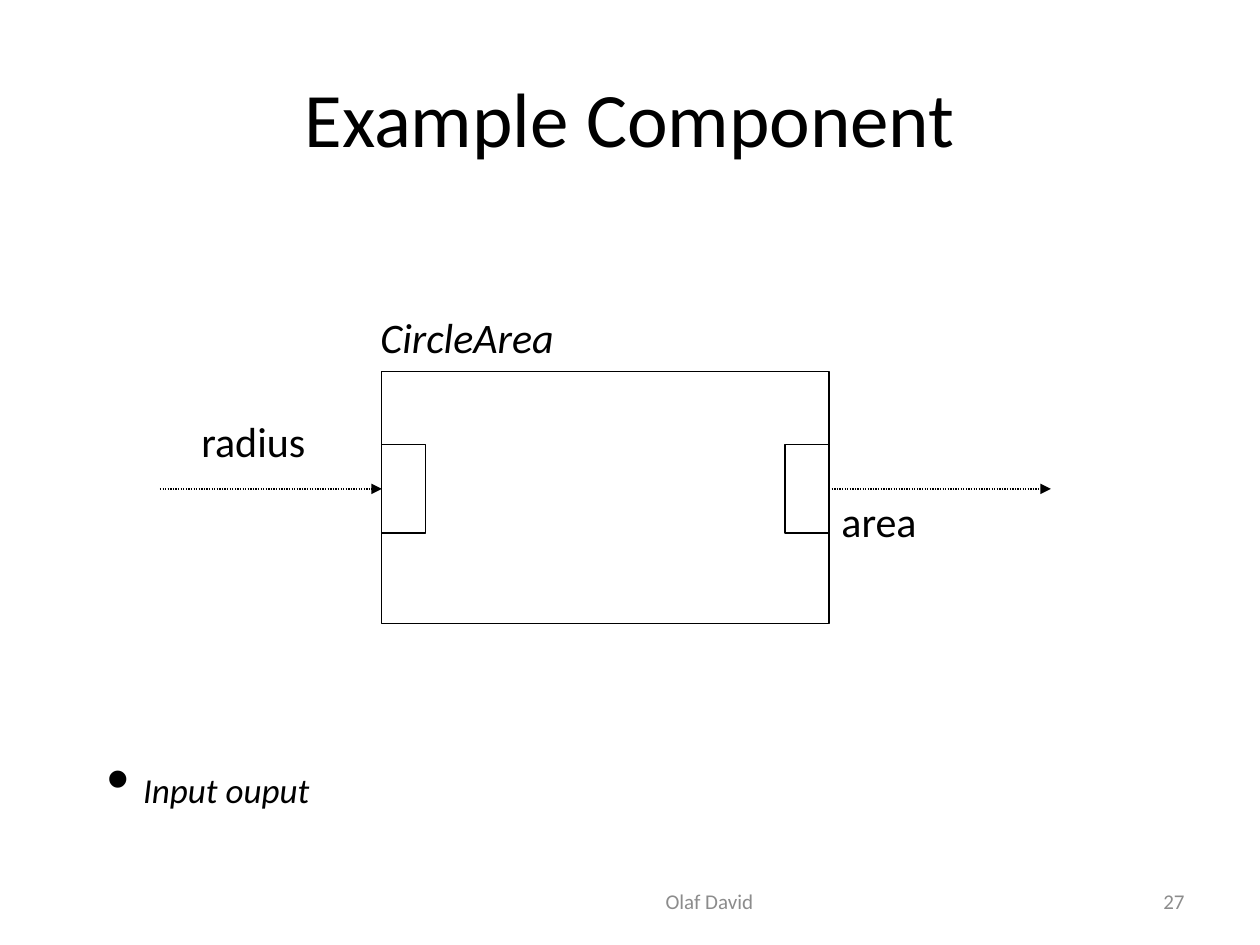
from lxml import etree
from pptx import Presentation
from pptx.dml.color import RGBColor
from pptx.enum.dml import MSO_LINE
from pptx.enum.shapes import MSO_CONNECTOR, MSO_SHAPE
from pptx.enum.text import MSO_ANCHOR, PP_ALIGN
from pptx.oxml.ns import qn
from pptx.util import Inches, Pt

LEFT, CENTER, RIGHT = PP_ALIGN.LEFT, PP_ALIGN.CENTER, PP_ALIGN.RIGHT
TOP, MIDDLE = MSO_ANCHOR.TOP, MSO_ANCHOR.MIDDLE
RECTANGLE = MSO_SHAPE.RECTANGLE
STRAIGHT = MSO_CONNECTOR.STRAIGHT
DOTTED = MSO_LINE.ROUND_DOT
COLORS = {"ink": "000000", "paper": "FFFFFF", "footer": "8C8C8C"}
FONT = "Calibri"
BULLET_FONT = "Arial"
LINE_WIDTH = 0.75


def rgb(name):
    return RGBColor.from_string(COLORS[name])


def add_run(paragraph, text, *, size=24, color="ink", italic=False):
    run = paragraph.add_run()
    run.text = text
    run.font.name = FONT
    run.font.size = Pt(size)
    run.font.italic = italic
    run.font.color.rgb = rgb(color)


class ComponentSlide:
    """Holds the line style and the slide being drawn."""

    def __init__(self, slide):
        self.slide = slide

    def label(self, box, text="", align=LEFT, anchor=TOP, **style):
        """Add a text box and return its paragraph for further runs."""
        frame = self.slide.shapes.add_textbox(*map(Inches, box)).text_frame
        frame.word_wrap = True
        frame.vertical_anchor = anchor
        paragraph = frame.paragraphs[0]
        paragraph.alignment = align
        if text:
            add_run(paragraph, text, **style)
        return paragraph

    def bullet(self, box, text, bullet_size, **style):
        """The leading space sets the bullet size and the gap after it."""
        paragraph = self.label(box)
        properties = paragraph._p.get_or_add_pPr()
        properties.set("marL", "0")
        properties.set("indent", "0")
        etree.SubElement(properties, qn("a:buFont"), typeface=BULLET_FONT)
        etree.SubElement(properties, qn("a:buChar"), char="•")
        add_run(paragraph, " ", **{**style, "size": bullet_size})
        add_run(paragraph, text, **style)

    def outline(self, line):
        line.color.rgb = rgb("ink")
        line.width = Pt(LINE_WIDTH)

    def block(self, *box):
        block = self.slide.shapes.add_shape(RECTANGLE, *map(Inches, box))
        block.shadow.inherit = False
        block.fill.solid()
        block.fill.fore_color.rgb = rgb("paper")
        self.outline(block.line)

    def arrow(self, *ends):
        arrow = self.slide.shapes.add_connector(STRAIGHT, *map(Inches, ends))
        self.outline(arrow.line)
        arrow.line.dash_style = DOTTED
        etree.SubElement(arrow.line._get_or_add_ln(), qn("a:tailEnd"), type="triangle")
        etree.SubElement(arrow._element.spPr, qn("a:effectLst"))


def main():
    deck = Presentation()
    deck.slide_width, deck.slide_height = Inches(10), Inches(7.5)
    page = ComponentSlide(deck.slides.add_slide(deck.slide_layouts[6]))

    page.label((0.5, 0.3, 9, 1.25), "Example Component", CENTER, MIDDLE, size=44)
    page.bullet((0.75, 5.83, 8.67, 0.7), "Input ouput", 36, size=20, italic=True)

    left, top, width, height = 3.03, 2.95, 3.55, 2
    right = left + width
    port_width, port_height, port_top = 0.35, 0.7, 3.53
    port_middle = port_top + port_height / 2
    arrow_length = 1.76

    page.block(left, top, width, height)
    for port_left in (left, right - port_width):
        page.block(port_left, port_top, port_width, port_height)
    for start in (left - arrow_length, right):
        page.arrow(start, port_middle, start + arrow_length, port_middle)

    page.label((2.92, 2.42, 3.88, 0.5), "CircleArea", italic=True)
    page.label((1.5, 3.25, 1.44, 0.47), "radius")
    page.label((right, port_middle, 1.5, 0.53), "area")

    footer = {"anchor": MIDDLE, "size": 12, "color": "footer"}
    page.label((3.42, 6.95, 4.42, 0.4), "Olaf David", CENTER, **footer)
    page.label((8.08, 6.95, 1.42, 0.4), "27", RIGHT, **footer)

    deck.save("out.pptx")


if __name__ == "__main__":
    main()
